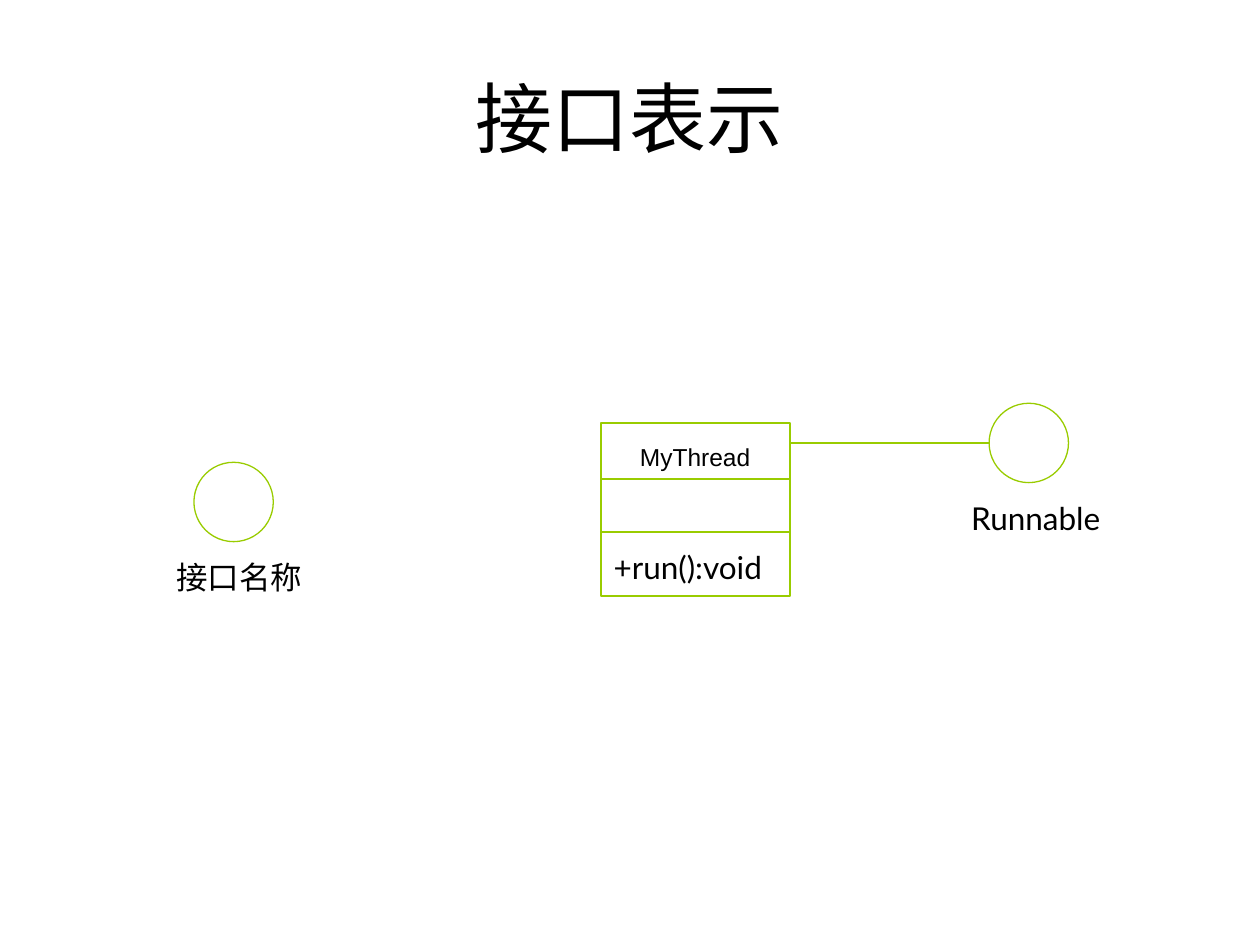
from lxml import etree
from pptx import Presentation
from pptx.dml.color import RGBColor
from pptx.enum.shapes import MSO_CONNECTOR, MSO_SHAPE
from pptx.enum.text import MSO_ANCHOR, MSO_AUTO_SIZE, PP_ALIGN
from pptx.oxml.ns import qn
from pptx.util import Cm, Pt

RECTANGLE, OVAL = MSO_SHAPE.RECTANGLE, MSO_SHAPE.OVAL
STRAIGHT = MSO_CONNECTOR.STRAIGHT
TOP, MIDDLE = MSO_ANCHOR.TOP, MSO_ANCHOR.MIDDLE
LEFT, CENTER = PP_ALIGN.LEFT, PP_ALIGN.CENTER
GROW, NO_RESIZE = MSO_AUTO_SIZE.SHAPE_TO_FIT_TEXT, MSO_AUTO_SIZE.NONE

GREEN, WHITE, BLACK = "99CC00", "FFFFFF", "000000"
THIN, MEDIUM = 0.75, 1
CIRCLE_SIZE = 1.6
CLASS_LEFT, CLASS_TOP, CLASS_WIDTH, CLASS_HEIGHT = 12.12, 8.53, 3.81, 3.48
CLASS_RIGHT = CLASS_LEFT + CLASS_WIDTH
RUNNABLE_LEFT, RUNNABLE_TOP = 19.94, 8.13


def color(hex_value):
    return RGBColor.from_string(hex_value)


def write_text(shape, text, size, font, align=LEFT, anchor=TOP,
               auto_size=GROW, wrap=True, margins=(0.25, 0.13)):
    frame = shape.text_frame
    frame.text = text
    side, edge = (Cm(margin) for margin in margins)
    frame_format = {
        "word_wrap": wrap, "auto_size": auto_size, "vertical_anchor": anchor,
        "margin_left": side, "margin_right": side,
        "margin_top": edge, "margin_bottom": edge,
    }
    for name, value in frame_format.items():
        setattr(frame, name, value)
    para = frame.paragraphs[0]
    para.alignment = align
    span = para.runs[0]
    for name, value in {"size": Pt(size), "name": font}.items():
        setattr(span.font, name, value)
    span.font.color.rgb = color(BLACK)


def add_outline(parent, kind, place, line_width=None):
    """Add a white shape, with a green border if a line width is given."""
    shape = parent.shapes.add_shape(kind, *map(Cm, place))
    shape.shadow.inherit = False
    shape.fill.solid()
    shape.fill.fore_color.rgb = color(WHITE)
    if line_width:
        shape.line.color.rgb = color(GREEN)
        shape.line.width = Pt(line_width)
    else:
        shape.line.fill.background()
    return shape


def add_horizontal_line(parent, start, end, height, line_width):
    line = parent.shapes.add_connector(
        STRAIGHT, Cm(start), Cm(height), Cm(end), Cm(height))
    line.line.color.rgb = color(GREEN)
    line.line.width = Pt(line_width)
    etree.SubElement(line._element.spPr, qn("a:effectLst"))


def add_interface(page, left, top, name):
    group = page.shapes.add_group_shape()
    add_outline(group, OVAL, (left, top, CIRCLE_SIZE, CIRCLE_SIZE), THIN)
    label = add_outline(group, RECTANGLE, (left - 0.61, top + 1.8, 3.2, 0.98))
    write_text(label, name, 18, "Lato")


def add_class(page, name, method):
    group = page.shapes.add_group_shape()
    add_outline(group, RECTANGLE,
                (CLASS_LEFT, CLASS_TOP, CLASS_WIDTH, CLASS_HEIGHT), MEDIUM)
    heading = add_outline(group, RECTANGLE, (12.9, 8.92, 2.24, 0.58))
    write_text(heading, name, 14, "Arial", wrap=False, margins=(0, 0))
    for height in (9.65, 10.72):
        add_horizontal_line(group, CLASS_LEFT, CLASS_RIGHT, height, MEDIUM)
    box = group.shapes.add_textbox(
        Cm(CLASS_LEFT), Cm(10.92), Cm(CLASS_WIDTH), Cm(0.98))
    write_text(box, method, 18, "Lato")


def add_title(page, text):
    title = page.shapes.title
    place = {"left": 1.27, "top": 0.76, "width": 22.86, "height": 3.18}
    for name, value in place.items():
        setattr(title, name, Cm(value))
    write_text(title, text, 44, "Arial", CENTER, MIDDLE, NO_RESIZE)


def main():
    deck = Presentation()
    deck.slide_width, deck.slide_height = Cm(25.4), Cm(19.05)
    page = deck.slides.add_slide(deck.slide_layouts.get_by_name("Title Only"))
    page.background.fill.solid()
    page.background.fill.fore_color.rgb = color(WHITE)

    add_title(page, "接口表示")
    add_interface(page, 3.91, 9.32, "接口名称")
    add_class(page, "MyThread", "+run():void")
    add_interface(page, RUNNABLE_LEFT, RUNNABLE_TOP, "Runnable")
    add_horizontal_line(page, CLASS_RIGHT, RUNNABLE_LEFT,
                        RUNNABLE_TOP + CIRCLE_SIZE / 2, THIN)
    deck.save("out.pptx")


if __name__ == "__main__":
    main()
